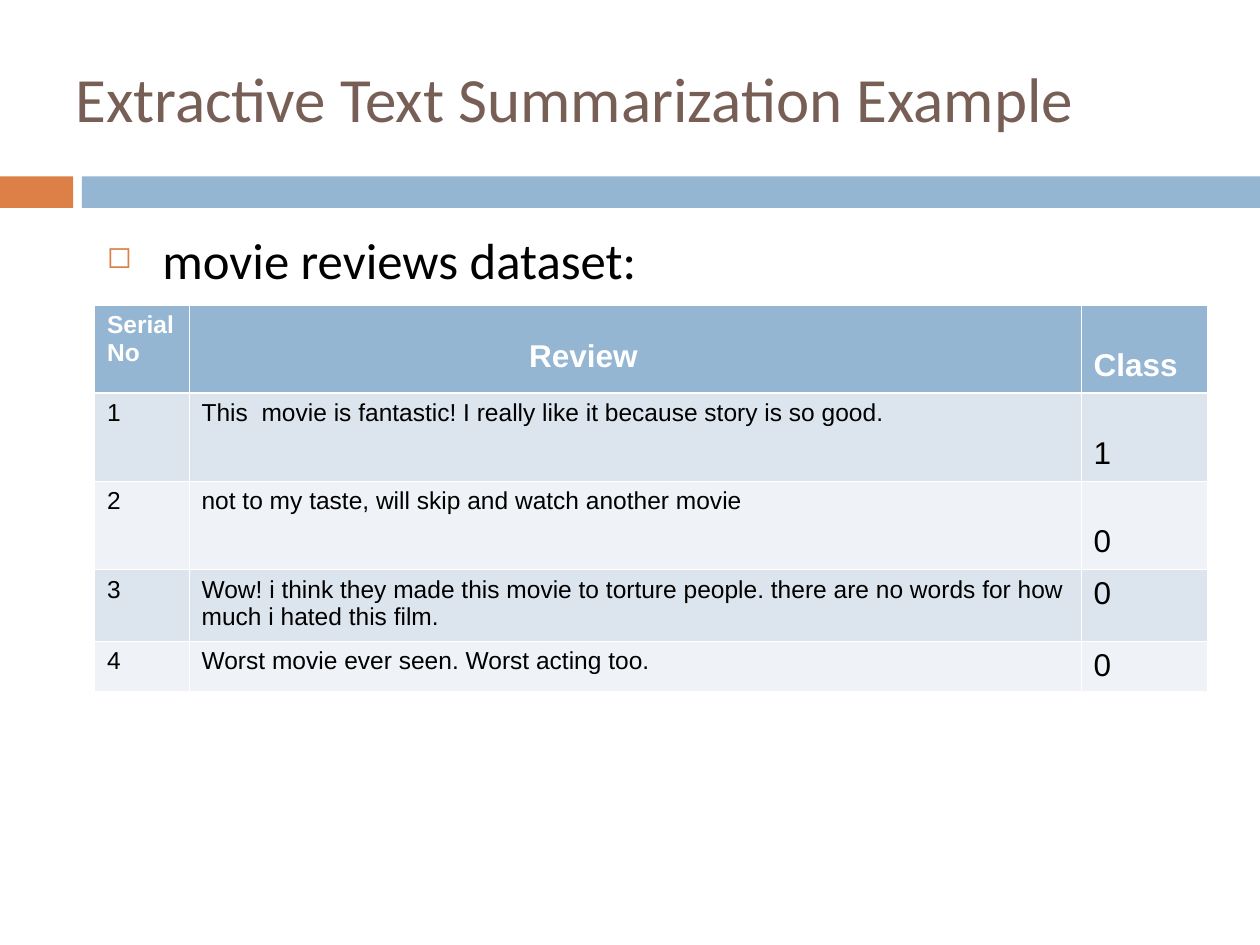
import pptx
import pptx.util
import pptx.dml.color
import pptx.enum.shapes
import pptx.enum.text
import pptx.oxml

WIDE, HIGH = 10, 7.5
HUES = {
    "orange": "DD8047", "blue": "94B6D2", "brown": "775F55",
    "black": "000000", "white": "FFFFFF", "odd": "DCE5EE", "even": "EFF3F7",
}
COLS = [0.75, 7.08, 1]
ROWS = [0.7, 0.7, 0.7, 0.57, 0.4]
CELLS = [
    ["Serial No", "Review", "Class"],
    ["1", "This  movie is fantastic! I really like it because story is so good.", "1"],
    ["2", "not to my taste, will skip and watch another movie", "0"],
    ["3", "Wow! i think they made this movie to torture people. "
          "there are no words for how much i hated this film.", "0"],
    ["4", "Worst movie ever seen. Worst acting too.", "0"],
]
LOW = {"margin_top": 0.34}
PADS = {(0, 1): {"margin_top": 0.27, "margin_left": 2.7},
        (0, 2): LOW, (1, 2): LOW, (2, 2): LOW}


def tint(name):
    """Return the named colour."""
    return pptx.dml.color.RGBColor.from_string(HUES[name])


def spot(left, top, wide, high):
    """Turn shares of the slide into lengths."""
    return [pptx.util.Inches(share * size)
            for share, size in zip((left, top, wide, high), (WIDE, HIGH) * 2)]


def node(tag, body="", **attrs):
    """Make a drawing element."""
    names = pptx.oxml.ns.nsdecls("a")
    pairs = " ".join(f'{key}="{val}"' for key, val in attrs.items())
    return pptx.oxml.parse_xml(f"<a:{tag} {names} {pairs}>{body}</a:{tag}>")


def style(para, hue, **looks):
    """Give a paragraph its font."""
    for key, val in looks.items():
        setattr(para.font, key, val)
    para.font.color.rgb = tint(hue)


def band(slide, place, hue):
    """Draw a plain coloured bar."""
    kind = pptx.enum.shapes.MSO_SHAPE.RECTANGLE
    bar = slide.shapes.add_shape(kind, *spot(*place))
    bar.shadow.inherit = False
    bar.fill.solid()
    bar.fill.fore_color.rgb = tint(hue)
    bar.line.fill.background()


def label(slide, place, text, anchor):
    """Add a wrapped text box and return its paragraph."""
    frame = slide.shapes.add_textbox(*spot(*place)).text_frame
    looks = {"word_wrap": True, "vertical_anchor": anchor, "text": text}
    for key, val in looks.items():
        setattr(frame, key, val)
    return frame.paragraphs[0]


def bullet(para, mark, hue, indent):
    """Put a small coloured bullet before a paragraph."""
    props = para._p.get_or_add_pPr()
    step = pptx.util.Inches(indent)
    props.set("marL", str(step))
    props.set("indent", str(-step))
    props.append(node("buClr", f'<a:srgbClr val="{HUES[hue]}"/>'))
    props.append(node("buSzPct", val=60000))
    props.append(node("buChar", char=mark))


def border(cell, row):
    """Rule a cell in white, thicker below the header."""
    props = cell._tc.get_or_add_tcPr()
    thick = {(0, "B"), (1, "T")}
    paint = f'<a:solidFill><a:srgbClr val="{HUES["white"]}"/></a:solidFill>'
    for side in "LRTB":
        width = pptx.util.Pt(1.47 if (row, side) in thick else 0.45)
        props.append(node("ln" + side, paint, w=width))


def entry(cell, row, col):
    """Fill and format one table cell."""
    head = row == 0
    cell.text = CELLS[row][col]
    pads = {"margin_left": 0.1, "margin_right": 0.1,
            "margin_top": 0.05, "margin_bottom": 0.05, **PADS.get((row, col), {})}
    for key, val in pads.items():
        setattr(cell, key, pptx.util.Inches(val))
    border(cell, row)
    cell.fill.solid()
    cell.fill.fore_color.rgb = tint("blue" if head else "odd" if row % 2 else "even")
    large = col == 2 or (row, col) == (0, 1)
    style(cell.text_frame.paragraphs[0], "white" if head else "black",
          name="Arial", size=pptx.util.Pt(18 if large else 14), bold=head)


def grid(slide, left, top):
    """Build the review table."""
    place = spot(left, top, sum(COLS) / WIDE, sum(ROWS) / HIGH)
    table = slide.shapes.add_table(len(ROWS), len(COLS), *place).table
    for col, wide in zip(table.columns, COLS):
        col.width = pptx.util.Inches(wide)
    for row, high in enumerate(ROWS):
        table.rows[row].height = pptx.util.Inches(high)
        for col in range(len(COLS)):
            entry(table.cell(row, col), row, col)


def main():
    """Build and save the slide."""
    deck = pptx.Presentation()
    deck.slide_width = pptx.util.Inches(WIDE)
    deck.slide_height = pptx.util.Inches(HIGH)
    slide = deck.slides.add_slide(deck.slide_layouts[6])
    anchor = pptx.enum.text.MSO_ANCHOR
    band(slide, (0, 1.4 / HIGH, 0.058, 0.25 / HIGH), "orange")
    band(slide, (0.065, 1.4 / HIGH, 0.935, 0.25 / HIGH), "blue")
    topic = label(slide, (0.075, 1.77 / HIGH, 0.925, 0.72),
                  "movie reviews dataset:", anchor.TOP)
    bullet(topic, "◻", "orange", 0.44)
    style(topic, "black", name="Calibri", size=pptx.util.Pt(29))
    title = label(slide, (0.05, 0.02, 0.9, 1.25 / HIGH),
                  "Extractive Text Summarization Example", anchor.MIDDLE)
    style(title, "brown", name="Calibri", size=pptx.util.Pt(36))
    grid(slide, 0.075, 2.42 / HIGH)
    deck.save("out.pptx")


if __name__ == "__main__":
    main()
